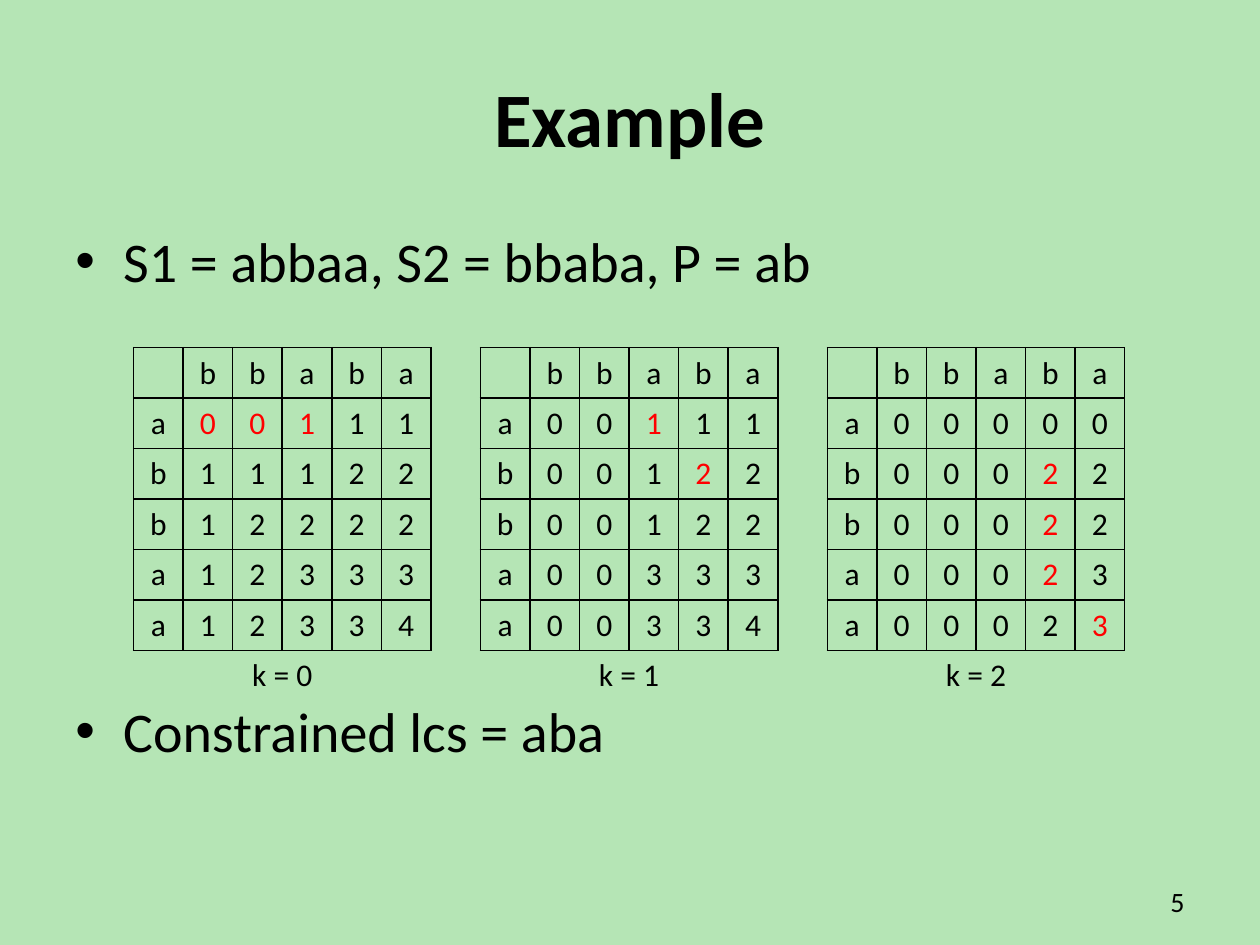
from lxml import etree
from pptx import Presentation
from pptx.dml.color import RGBColor
from pptx.enum import text
from pptx.oxml import ns
from pptx.util import Inches, Pt

TITLE = "Example"
BULLETS = [("S1 = abbaa, S2 = bbaba, P = ab", 0), ("Constrained lcs = aba", 230)]
NUMBER = "5"
S1, S2 = "abbaa", "bbaba"
GRIDS = [
    {"caption": "k = 0", "rows": ["00111", "11122", "12222", "12333", "12334"],
     "red": {(0, 0), (0, 1), (0, 2)}},
    {"caption": "k = 1", "rows": ["00111", "00122", "00122", "00333", "00334"],
     "red": {(0, 2), (1, 3)}},
    {"caption": "k = 2", "rows": ["00000", "00022", "00022", "00023", "00023"],
     "red": {(1, 3), (2, 3), (3, 3), (4, 4)}},
]
BLACK, RED, GREEN = "000000", "FF0000", "B5E5B5"
PLAIN_STYLE = "{2D5ABB26-0587-4C30-8999-92F81FD0307C}"
MIDDLE = text.MSO_ANCHOR.MIDDLE
ALIGN = text.PP_ALIGN


def color(value):
    return RGBColor.from_string(value)


def write(paragraph, words, size, align=ALIGN.LEFT, fill=BLACK, bold=False):
    paragraph.text = words
    paragraph.alignment = align
    for name, value in {"name": "Calibri", "size": Pt(size), "bold": bold}.items():
        setattr(paragraph.font, name, value)
    paragraph.font.color.rgb = color(fill)


def add_box(slide, place, anchor=MIDDLE):
    frame = slide.shapes.add_textbox(*map(Inches, place)).text_frame
    frame.word_wrap = True
    frame.vertical_anchor = anchor
    return frame


def add_bullet(paragraph):
    properties = paragraph._p.get_or_add_pPr()
    for name, value in {"marL": Inches(0.38), "indent": Inches(-0.38)}.items():
        properties.set(name, str(value))
    font = etree.SubElement(properties, ns.qn("a:buFont"))
    font.set("typeface", "Arial")
    etree.SubElement(properties, ns.qn("a:buChar")).set("char", "•")


def set_cell(cell, words="", sides="LRTB", fill=BLACK):
    properties = cell._tc.get_or_add_tcPr()
    for side in sides:
        line = etree.SubElement(properties, ns.qn(f"a:ln{side}"), w=str(Pt(1)))
        solid = etree.SubElement(line, ns.qn("a:solidFill"))
        etree.SubElement(solid, ns.qn("a:srgbClr"), val=BLACK)
    cell.fill.background()
    cell.vertical_anchor = MIDDLE
    write(cell.text_frame.paragraphs[0], words, 18, ALIGN.CENTER, fill)


def add_grids(slide):
    span = len(S2) + 1
    step = span + 1
    height = len(S1) + 2
    width = step * len(GRIDS) - 1
    frame = slide.shapes.add_table(height, width, Inches(1.06), Inches(2.76),
                                   Inches(7.87), Inches(0.4 * height))
    table = frame.table
    table.first_row = table.horz_banding = False
    table._tbl.tblPr.find(ns.qn("a:tableStyleId")).text = PLAIN_STYLE
    for column in table.columns:
        column.width = Inches(7.87 / width)
    for index, grid in enumerate(GRIDS):
        left = index * step
        lines = [" " + S2] + [head + row for head, row in zip(S1, grid["rows"])]
        for row, line in enumerate(lines):
            for column, letter in enumerate(line):
                fill = RED if (row - 1, column - 1) in grid["red"] else BLACK
                set_cell(table.cell(row, left + column), letter.strip(), fill=fill)
        for column in range(left, left + span):
            set_cell(table.cell(height - 1, column), sides="T")
        caption = table.cell(height - 1, left)
        caption.merge(table.cell(height - 1, left + span - 1))
        write(caption.text_frame.paragraphs[0], grid["caption"], 18, ALIGN.CENTER)
        if index < len(GRIDS) - 1:
            for row in range(height):
                set_cell(table.cell(row, left + span),
                         sides="LR" if row < height - 1 else "")


def main():
    presentation = Presentation()
    presentation.slide_width, presentation.slide_height = Inches(10), Inches(7.5)
    slide = presentation.slides.add_slide(presentation.slide_layouts[6])
    slide.background.fill.solid()
    slide.background.fill.fore_color.rgb = color(GREEN)

    title = add_box(slide, (0.5, 0.3, 9, 1.25))
    write(title.paragraphs[0], TITLE, 44, ALIGN.CENTER, bold=True)

    body = add_box(slide, (0.5, 1.75, 9, 4.95), text.MSO_ANCHOR.TOP)
    for index, (words, space) in enumerate(BULLETS):
        paragraph = body.add_paragraph() if index else body.paragraphs[0]
        if space:
            paragraph.space_before = Pt(space)
        add_bullet(paragraph)
        write(paragraph, words, 32)

    number = add_box(slide, (7.17, 6.95, 2.33, 0.4))
    write(number.paragraphs[0], NUMBER, 16, ALIGN.RIGHT)
    add_grids(slide)
    presentation.save("out.pptx")


if __name__ == "__main__":
    main()
